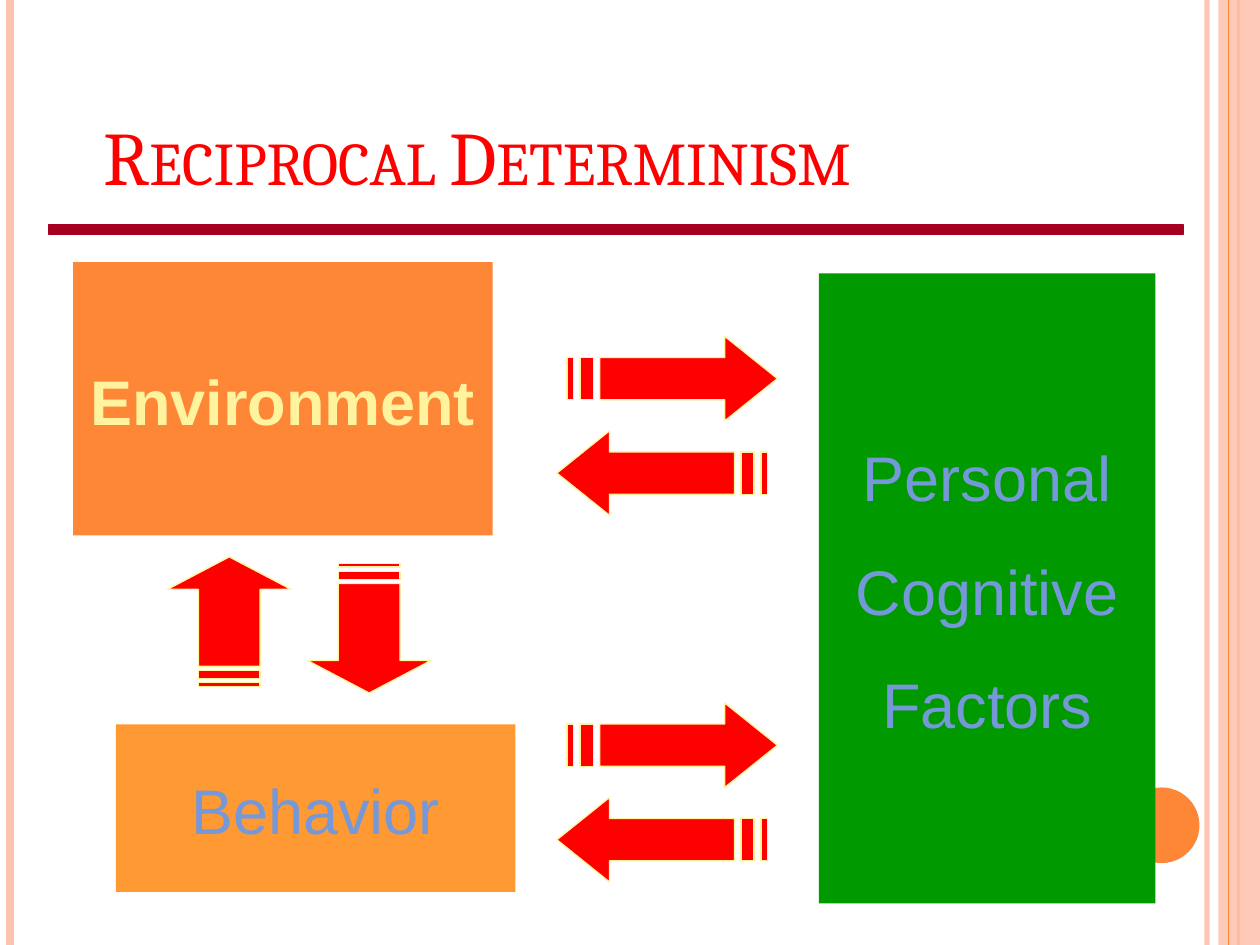
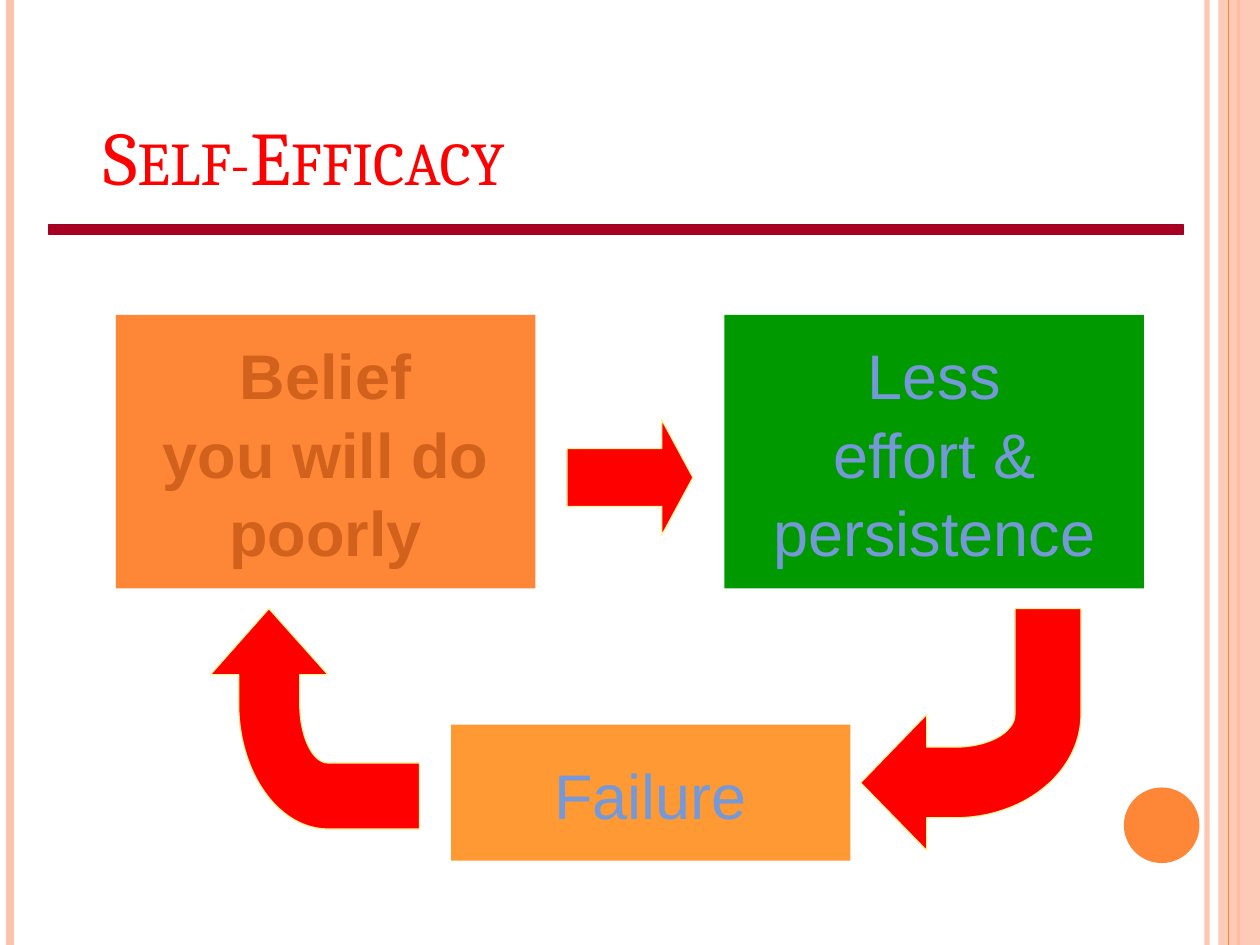
from math import cos, sin, pi
from lxml import etree
from pptx import Presentation
from pptx.dml.color import RGBColor
from pptx.enum.shapes import MSO_CONNECTOR, MSO_SHAPE
from pptx.enum.text import MSO_ANCHOR, PP_ALIGN
from pptx.oxml.ns import qn
from pptx.util import Inches, Pt

RECT, OVAL, ARROW = MSO_SHAPE.RECTANGLE, MSO_SHAPE.OVAL, MSO_SHAPE.RIGHT_ARROW
STRAIGHT = MSO_CONNECTOR.STRAIGHT
MIDDLE, BOTTOM = MSO_ANCHOR.MIDDLE, MSO_ANCHOR.BOTTOM
LEFT, CENTER = PP_ALIGN.LEFT, PP_ALIGN.CENTER

W, H = 10, 7.5
COLORS = {
    "peach": "FEC3AE", "orange": "FE8637", "amber": "FF9933", "green": "009900",
    "red": "FF0000", "crimson": "A50021", "cream": "FFF39D", "blue": "7598D9",
    "rust": "D2611C",
}
HEADING_FONT, BODY_FONT = "Cambria", "Arial"


def rgb(name):
    return RGBColor.from_string(COLORS[name])


def set_alpha(parent, percent):
    """Make the solid colour inside parent partly transparent."""
    clr = next(parent.iter(qn("a:srgbClr")))
    etree.SubElement(clr, qn("a:alpha")).set("val", str(percent * 1000))


def paint(sp, fill, line=None):
    sp.shadow.inherit = False
    sp.fill.solid()
    sp.fill.fore_color.rgb = rgb(fill)
    if line:
        sp.line.color.rgb = rgb(line)
        sp.line.width = Pt(0.75)
    else:
        sp.line.fill.background()
    return sp


def add_shape(s, kind, box, fill, line=None):
    return paint(s.shapes.add_shape(kind, *map(Inches, box)), fill, line)


def add_rule(s, x, color, width, alpha=None):
    """Vertical line over the full height of the slide."""
    cn = s.shapes.add_connector(STRAIGHT, Inches(x), 0, Inches(x), Inches(H))
    cn.line.color.rgb = rgb(color)
    cn.line.width = Pt(width)
    sp_pr = cn._element.spPr
    if alpha:
        set_alpha(sp_pr, alpha)
    etree.SubElement(sp_pr, qn("a:effectLst"))


def write(sp, paragraphs, font=BODY_FONT, size=36, color="blue", bold=False,
          align=CENTER, anchor=MIDDLE, wrap=False, gap=0, spacing=None,
          small_caps=False):
    """Fill a shape with paragraphs; a vertical tab breaks a line."""
    tf = sp.text_frame
    tf.word_wrap, tf.vertical_anchor = wrap, anchor
    for i, text in enumerate(paragraphs):
        p = tf.add_paragraph() if i else tf.paragraphs[0]
        p.text = text
        p.alignment = align
        p.line_spacing = spacing
        p.space_before = Pt(gap if i else 0)
        for r in p.runs:
            r.font.name, r.font.size, r.font.bold = font, Pt(size), bold
            r.font.color.rgb = rgb(color)
            if small_caps:
                r._r.get_or_add_rPr().set("cap", "small")


def add_box(s, box, fill, paragraphs, **fmt):
    write(add_shape(s, RECT, box, fill), paragraphs, spacing=1.04, **fmt)


def add_outline(s, contours, place):
    """Red freeform; place() turns unit coordinates into inches."""
    fb = None
    for contour in contours:
        pts = [tuple(map(Inches, place(u, v))) for u, v in contour]
        if fb is None:
            fb = s.shapes.build_freeform(*pts[0], scale=1.0)
        else:
            fb.move_to(*pts[0])
        fb.add_line_segments(pts[1:], close=True)
    paint(fb.convert_to_shape(), "red", "cream")


def add_striped_arrow(s, box, direction):
    x, y, w, h = box
    place = {
        "right": lambda u, v: (x + w * u, y + h * v),
        "left": lambda u, v: (x + w * (1 - u), y + h * v),
        "down": lambda u, v: (x + w * v, y + h * u),
        "up": lambda u, v: (x + w * v, y + h * (1 - u)),
    }[direction]
    head = [(0.75, 0), (0.75, 0.25), (0.156, 0.25), (0.156, 0.75),
            (0.75, 0.75), (0.75, 1), (1, 0.5)]
    stripes = [[(a, 0.25), (a, 0.75), (b, 0.75), (b, 0.25)]
               for a, b in ((0.0625, 0.125), (0, 0.03))]
    add_outline(s, [head] + stripes, place)


def add_bent_arrow(s, place):
    """Arrow with its tip at u = 0 and its tail at v = 0."""
    cu, cv, steps = 0.43, 0.4375, 24
    quarter = [pi / 2 * i / steps for i in range(steps + 1)]

    def arc(ru, rv):
        return [(cu + ru * sin(a), cv + rv * cos(a)) for a in quarter]

    outline = [(0, 0.72), (0.3, 1), (0.3, 0.865), *arc(0.57, 0.4275),
               (1, 0), (0.7, 0), *reversed(arc(0.27, 0.135)),
               (0.3, 0.5725), (0.3, cv)]
    add_outline(s, [outline], place)


def add_base(prs, title):
    """New slide with side bands, dot, title and the bar under it."""
    s = prs.slides.add_slide(prs.slide_layouts[6])
    add_rule(s, 9.58, "peach", 3, alpha=93)
    add_rule(s, 0.08, "peach", 4.5)
    add_rule(s, 9.83, "orange", 1.5)
    band = add_shape(s, RECT, (9.67, 0, W - 9.67, H), "peach")
    set_alpha(band._element.spPr, 87)
    add_rule(s, 9.75, "orange", 0.75)
    add_shape(s, OVAL, (8.92, 6.25, 0.6, 0.6), "orange")
    tb = s.shapes.add_textbox(*map(Inches, (0.72, 0.87, 7.75, 0.77)))
    write(tb, [title], font=HEADING_FONT, size=43.2, color="red", align=LEFT,
          anchor=BOTTOM, wrap=True, small_caps=True)
    add_shape(s, RECT, (0.39, 1.78, 9, 0.08), "crimson", "crimson")
    return s


def build_determinism(prs):
    s = add_base(prs, "Reciprocal Determinism")
    add_box(s, (0.58, 2.08, 3.33, 2.17), "orange", ["Environment"],
            color="cream", bold=True)
    add_box(s, (6.5, 2.17, 2.67, 5), "green",
            ["Personal", "Cognitive", "Factors"], gap=19.8)
    add_box(s, (0.92, 5.75, 3.17, 1.33), "amber", ["Behavior"])
    # Pairs of arrows between the boxes
    for top in (2.67, 5.58):
        add_striped_arrow(s, (4.5, top, 1.67, 0.67), "right")
        add_striped_arrow(s, (4.42, top + 0.75, 1.67, 0.67), "left")
    add_striped_arrow(s, (1.33, 4.42, 0.98, 1.03), "up")
    add_striped_arrow(s, (2.44, 4.47, 0.98, 1.03), "down")


def build_efficacy(prs):
    s = add_base(prs, "Self-Efficacy")
    add_box(s, (0.92, 2.5, 3.33, 2.17), "orange",
            ["Belief\vyou will do\vpoorly"], color="rust", bold=True)
    add_box(s, (5.75, 2.5, 3.33, 2.17), "green",
            ["Less\veffort &\vpersistence"])
    add_box(s, (3.58, 5.75, 3.17, 1.08), "amber", ["Failure"])
    # Cycle of arrows
    arrow = add_shape(s, ARROW, (4.5, 3.33, 1, 0.92), "red", "cream")
    arrow.adjustments[0], arrow.adjustments[1] = 0.5, 0.27
    add_bent_arrow(s, lambda u, v: (6.83 + 1.75 * u, 4.83 + 1.92 * v))
    add_bent_arrow(s, lambda u, v: (3.33 - 1.66 * v, 4.83 + 1.75 * u))


def main():
    prs = Presentation()
    prs.slide_width, prs.slide_height = Inches(W), Inches(H)
    build_determinism(prs)
    build_efficacy(prs)
    prs.save("out.pptx")


main()
